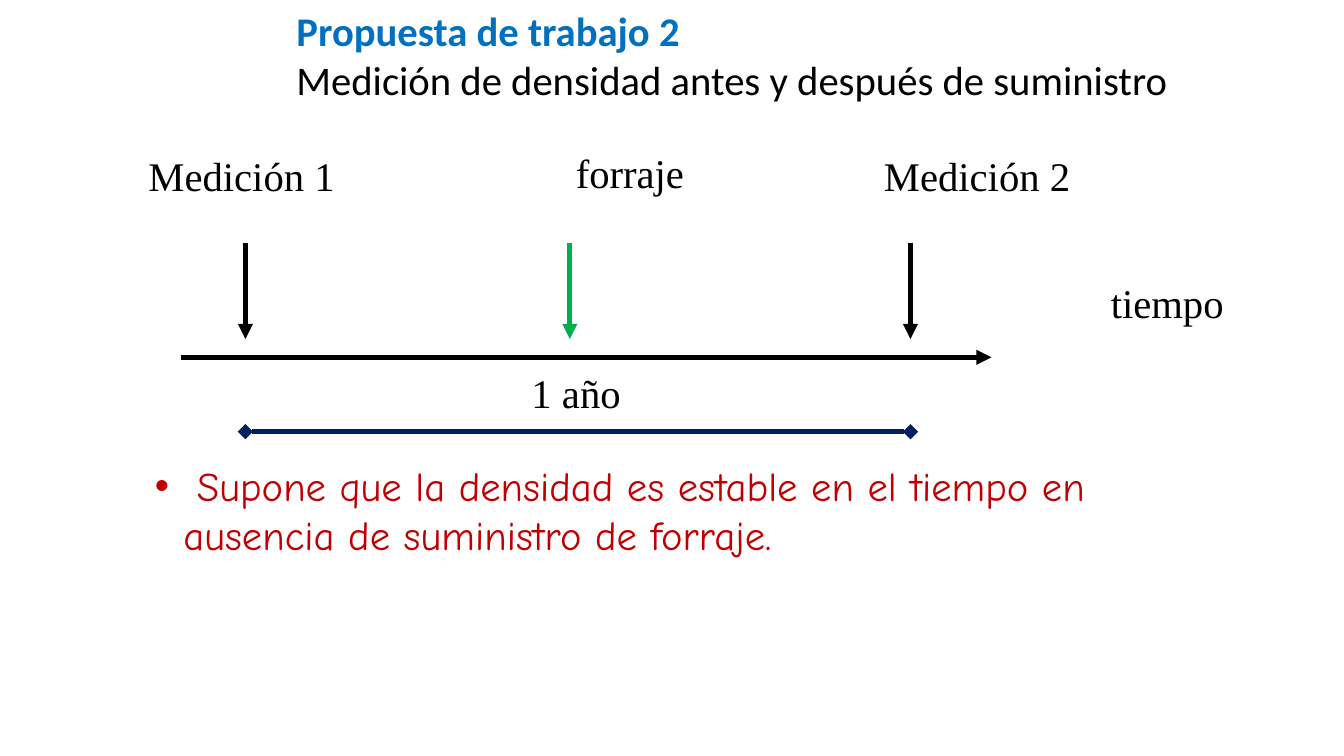
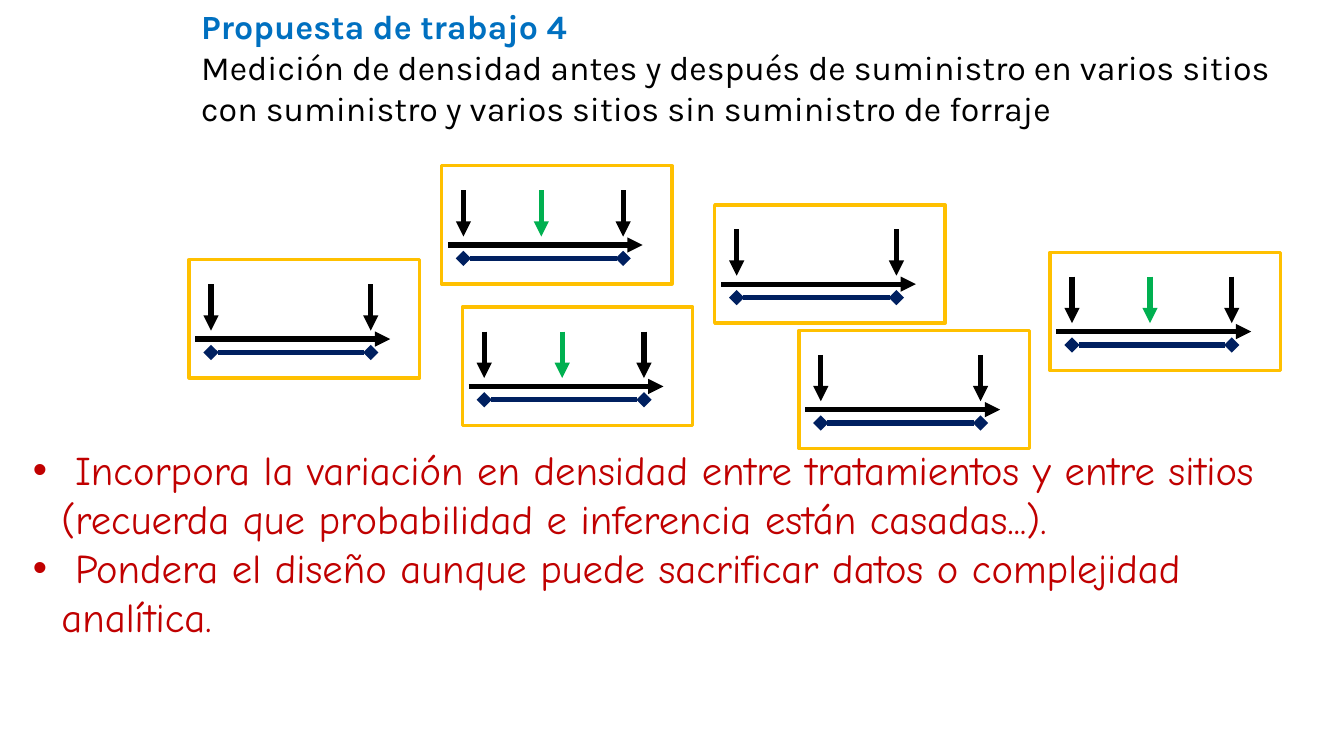
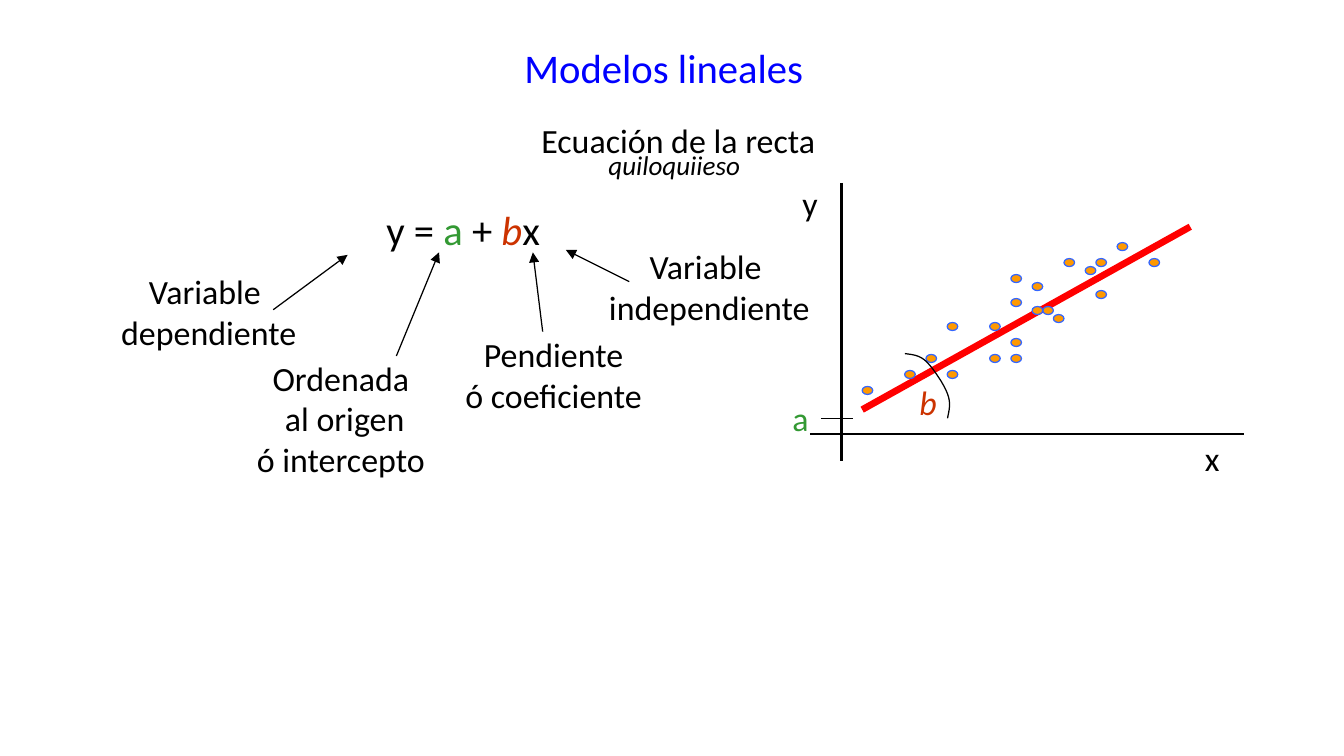
from pptx import Presentation
from pptx.dml.color import RGBColor
from pptx.enum.shapes import MSO_CONNECTOR, MSO_SHAPE
from pptx.enum.text import MSO_ANCHOR, MSO_AUTO_SIZE, PP_ALIGN
from pptx.oxml.ns import qn
from pptx.util import Pt
from lxml import etree

STRAIGHT = MSO_CONNECTOR.STRAIGHT
RECTANGLE, OVAL = MSO_SHAPE.RECTANGLE, MSO_SHAPE.OVAL
LEFT, CENTER = PP_ALIGN.LEFT, PP_ALIGN.CENTER
TOP, NO_FIT = MSO_ANCHOR.TOP, MSO_AUTO_SIZE.NONE

BLACK = RGBColor(0x00, 0x00, 0x00)
HEADING_BLUE = RGBColor(0x00, 0x70, 0xC0)
TITLE_BLUE = RGBColor(0x00, 0x00, 0xFF)
NOTE_RED = RGBColor(0xC0, 0x00, 0x00)
FORAGE_GREEN = RGBColor(0x00, 0xB0, 0x50)
SPAN_NAVY = RGBColor(0x00, 0x20, 0x60)
SITE_GOLD = RGBColor(0xFF, 0xC0, 0x00)
INTERCEPT_GREEN = RGBColor(0x33, 0x99, 0x33)
SLOPE_RUST = RGBColor(0xCC, 0x33, 0x00)
FIT_RED = RGBColor(0xFF, 0x00, 0x00)
POINT_ORANGE = RGBColor(0xFF, 0x99, 0x00)
POINT_EDGE = RGBColor(0x33, 0x66, 0xFF)

SANS, SERIF, HAND, KARLA = "Calibri", "Times New Roman", "Comic Neue", "Karla"
SLIDE_WIDTH, SLIDE_HEIGHT = 793.44, 446.4

# Proposals: title box, font, size, lines; note box and lines
PROPOSAL_2 = {
    "box": (167.8, 0, 560, 64.8), "font": SANS, "size": 24,
    "heading": "Propuesta de trabajo 2",
    "subject": "Medición de densidad antes y después de suministro",
    "notes_box": (84.2, 268.6, 607.7, 64.8),
    "notes": [" Supone que la densidad es estable en el tiempo en ausencia de "
              "suministro de forraje."],
}
PROPOSAL_4 = {
    "box": (111.6, 0, 663.1, 79.2), "font": KARLA, "size": 20,
    "heading": "Propuesta de trabajo 4",
    "subject": "Medición de densidad antes y después de suministro en varios "
               "sitios con suministro y varios sitios sin suministro de forraje",
    "notes_box": (12.2, 259.2, 775.4, 122.4),
    "notes": [" Incorpora la variación en densidad entre tratamientos y entre "
              "sitios (recuerda que probabilidad e inferencia están casadas...).",
              " Pondera el diseño aunque puede sacrificar datos o complejidad "
              "analítica."],
}
TIMELINE_LABELS = [
    ("Medición 1", (80.6, 85.7, 161.3, 36), LEFT),
    ("forraje", (285.1, 83.5, 173.5, 36), CENTER),
    ("Medición 2", (514.8, 85.7, 161.3, 36), LEFT),
    ("1 año", (306.7, 213.8, 67, 36), LEFT),
    ("tiempo", (648.7, 160.6, 80.6, 36), LEFT),
]

# Timeline marks as shares of the axis length
FIRST_SURVEY, FORAGE, LAST_SURVEY = 0.08, 0.48, 0.9

# Study sites: left, top, with forage
SITE_SIZE = (136.1, 69.8)
SITES = [
    (260.6, 97.9, True), (111.6, 153.4, False), (272.9, 181.4, True),
    (421.9, 121, False), (471.6, 195.1, False), (619.9, 149, True),
]

# Linear model: title, equation, captions with their arrows, plot
MODEL_TITLE, MODEL_TITLE_BOX = "Modelos lineales", (302.4, 21.6, 240, 36)
EQUATION = [("y = ", BLACK, False), ("a", INTERCEPT_GREEN, False),
            (" + ", BLACK, False), ("b", SLOPE_RUST, True), ("x", BLACK, False)]
TERMS = [
    (["Variable", " dependiente"], (59.8, 156.2, 122.4, 55.4), (161.3, 182.9, 205.2, 150.5)),
    (["Variable", " independiente"], (347.8, 141.8, 137.5, 55.4), (371.5, 166.3, 334.1, 147.6)),
    (["Ordenada", " al origen", "ó intercepto"], (144, 207.4, 114.5, 79.2), (234, 210.2, 259.2, 149)),
    (["Pendiente", "ó coeficiente"], (267.1, 193.7, 119.5, 55.4), (320.4, 195.8, 314.6, 149)),
]
PLOT_LABELS = [
    ("a", (460.8, 231.1, 23.8, 31.7), INTERCEPT_GREEN, False),
    ("y", (466.6, 104.4, 23, 31.7), BLACK, False),
    ("x", (704.2, 254.9, 23, 31.7), BLACK, False),
    ("b", (535.7, 221.8, 24.5, 31.7), SLOPE_RUST, True),
]
PLOT_LINES = [
    ((496.8, 108, 496.8, 272.2), BLACK, 1.5),
    ((478.1, 256.3, 734.4, 256.3), BLACK, 1.5),
    ((509, 241.9, 702.7, 133.9), FIT_RED, 4),
    ((484.6, 247, 503.3, 247), BLACK, 0.75),
]
POINT_ORIGIN, POINT_STEP = (509, 228.2), (6.27, 4.72)
POINTS = [  # steps right of and above the first point
    (22, 12), (0, 0), (8, 2), (17, 10), (12, 8), (14, 14), (14, 4),
    (8, 8), (16, 10), (21, 15), (6, 4), (19, 16), (24, 18), (27, 16),
    (18, 9), (14, 11), (14, 6), (22, 16), (16, 13), (12, 4), (4, 2),
]
SLOPE_ARC = [  # chained cubic curves
    (534.2, 208.8), (538.6, 209.5), (542.9, 209.5), (547.2, 213.8),
    (550.8, 217.4), (557.3, 226.8), (559.4, 232.6),
    (561.6, 238.3), (560.2, 242.6), (559.4, 247),
]
ARC_STEPS = 8


def points(values):
    return [Pt(value) for value in values]


def write(frame, lines, font, size, align=LEFT, wrap=True):
    """Fill a frame; each line is a list of (text, colour, italic[, bold])."""
    frame.auto_size = NO_FIT
    frame.word_wrap = wrap
    frame.vertical_anchor = TOP
    frame.margin_left = frame.margin_right = Pt(7.2)
    frame.margin_top = frame.margin_bottom = Pt(3.6)
    for index, runs in enumerate(lines):
        paragraph = frame.add_paragraph() if index else frame.paragraphs[0]
        paragraph.alignment = align
        paragraph.space_before = Pt(0)
        for text, colour, italic, *bold in runs:
            run = paragraph.add_run()
            run.text = text
            run.font.name, run.font.size = font, Pt(size)
            run.font.color.rgb = colour
            run.font.italic = italic
            run.font.bold = bool(bold and bold[0])


def fill_placeholder(shape, box, lines, font, size):
    shape.left, shape.top, shape.width, shape.height = points(box)
    write(shape.text_frame, lines, font, size)


def add_label(slide, lines, box, font, size, align=LEFT):
    label = slide.shapes.add_textbox(*points(box))
    write(label.text_frame, lines, font, size, align, wrap=False)


def add_line(shapes, ends, colour, width, head=None, tail=None):
    connector = shapes.add_connector(STRAIGHT, *points(ends))
    connector.line.color.rgb = colour
    connector.line.width = Pt(width)
    properties = connector._element.spPr
    outline = properties.find(qn("a:ln"))
    for tag, kind in (("a:headEnd", head), ("a:tailEnd", tail)):
        if kind:
            etree.SubElement(outline, qn(tag)).set("type", kind)
    etree.SubElement(properties, qn("a:effectLst"))


def add_outline(shapes, kind, box, line, width, fill=None):
    shape = shapes.add_shape(kind, *points(box))
    shape.shadow.inherit = False
    if fill is None:
        shape.fill.background()
    else:
        shape.fill.solid()
        shape.fill.fore_color.rgb = fill
    shape.line.color.rgb = line
    shape.line.width = Pt(width)


def add_timeline(shapes, left, axis_y, length, rise, gap, drop, with_forage):
    """Axis, survey arrows ending just above it, and the span below it."""
    first, forage, last = (left + share * length
                           for share in (FIRST_SURVEY, FORAGE, LAST_SURVEY))
    add_line(shapes, (left, axis_y, left + length, axis_y), BLACK, 3, tail="triangle")
    arrows = [(first, BLACK), (last, BLACK)]
    if with_forage:
        arrows.append((forage, FORAGE_GREEN))
    for x, colour in arrows:
        add_line(shapes, (x, axis_y - rise, x, axis_y - gap), colour, 3, tail="triangle")
    add_line(shapes, (first, axis_y + drop, last, axis_y + drop), SPAN_NAVY, 3,
             head="diamond", tail="diamond")


def add_proposal(deck, proposal):
    slide = deck.slides.add_slide(deck.slide_layouts[1])
    fill_placeholder(slide.shapes.title, proposal["box"],
                     [[(proposal["heading"], HEADING_BLUE, False, True)],
                      [(proposal["subject"], BLACK, False)]],
                     proposal["font"], proposal["size"])
    notes = slide.placeholders[1]
    fill_placeholder(notes, proposal["notes_box"],
                     [[(note, NOTE_RED, False)] for note in proposal["notes"]],
                     HAND, 24)
    for paragraph in notes.text_frame.paragraphs:
        indents = paragraph._p.get_or_add_pPr()
        indents.set("marL", str(Pt(16.9)))
        indents.set("indent", str(-Pt(16.9)))
    return slide


def add_single_site(deck):
    slide = add_proposal(deck, PROPOSAL_2)
    add_timeline(slide.shapes, 106.6, 211, 478.8, 67.7, 10.8, 43.9, True)
    for text, box, align in TIMELINE_LABELS:
        add_label(slide, [[(text, BLACK, False)]], box, SERIF, 24, align)


def add_many_sites(deck):
    slide = add_proposal(deck, PROPOSAL_4)
    for left, top, with_forage in SITES:
        site = slide.shapes.add_group_shape().shapes
        add_timeline(site, left + 3.8, top + 46.8, 115, 32.4, 5, 7.9, with_forage)
        add_outline(site, RECTANGLE, (left, top, *SITE_SIZE), SITE_GOLD, 2)


def cubic(start, pull, push, end, t):
    u = 1 - t
    return tuple(u**3 * a + 3 * u * u * t * b + 3 * u * t * t * c + t**3 * d
                 for a, b, c, d in zip(start, pull, push, end))


def add_slope_arc(slide):
    vertices = [points(cubic(*SLOPE_ARC[i:i + 4], step / ARC_STEPS))
                for i in range(0, len(SLOPE_ARC) - 1, 3)
                for step in range(1, ARC_STEPS + 1)]
    builder = slide.shapes.build_freeform(*points(SLOPE_ARC[0]))
    builder.add_line_segments(vertices, close=False)
    arc = builder.convert_to_shape()
    arc.shadow.inherit = False
    arc.fill.background()
    arc.line.color.rgb = BLACK
    arc.line.width = Pt(0.75)


def add_linear_model(deck):
    slide = deck.slides.add_slide(deck.slide_layouts[5])
    fill_placeholder(slide.shapes.title, MODEL_TITLE_BOX,
                     [[(MODEL_TITLE, TITLE_BLUE, False)]], SANS, 24)

    # Equation and the names of its terms
    add_label(slide, [EQUATION], (221, 117.4, 105.1, 36), SANS, 24)
    add_label(slide, [[("quiloquiieso", BLACK, True)]], (352.1, 84.2, 92.2, 26.6), SANS, 16)
    add_label(slide, [[("Ecuación de la recta", BLACK, False)]],
              (312.5, 67, 177.1, 31.7), SANS, 20)
    for lines, box, arrow in TERMS:
        add_label(slide, [[(line, BLACK, False)] for line in lines], box, SANS, 20, CENTER)
        add_line(slide.shapes, arrow, BLACK, 0.75, tail="triangle")

    # Plot
    for ends, colour, width in PLOT_LINES:
        add_line(slide.shapes, ends, colour, width)
    (left, base), (step_x, step_y) = POINT_ORIGIN, POINT_STEP
    for right, up in POINTS:
        add_outline(slide.shapes, OVAL,
                    (left + right * step_x, base - up * step_y, step_x, step_y),
                    POINT_EDGE, 0.75, POINT_ORANGE)
    add_slope_arc(slide)
    for text, box, colour, italic in PLOT_LABELS:
        add_label(slide, [[(text, colour, italic)]], box, SANS, 20)


def main():
    deck = Presentation()
    deck.slide_width, deck.slide_height = Pt(SLIDE_WIDTH), Pt(SLIDE_HEIGHT)
    add_single_site(deck)
    add_many_sites(deck)
    add_linear_model(deck)
    deck.save("out.pptx")


if __name__ == "__main__":
    main()
